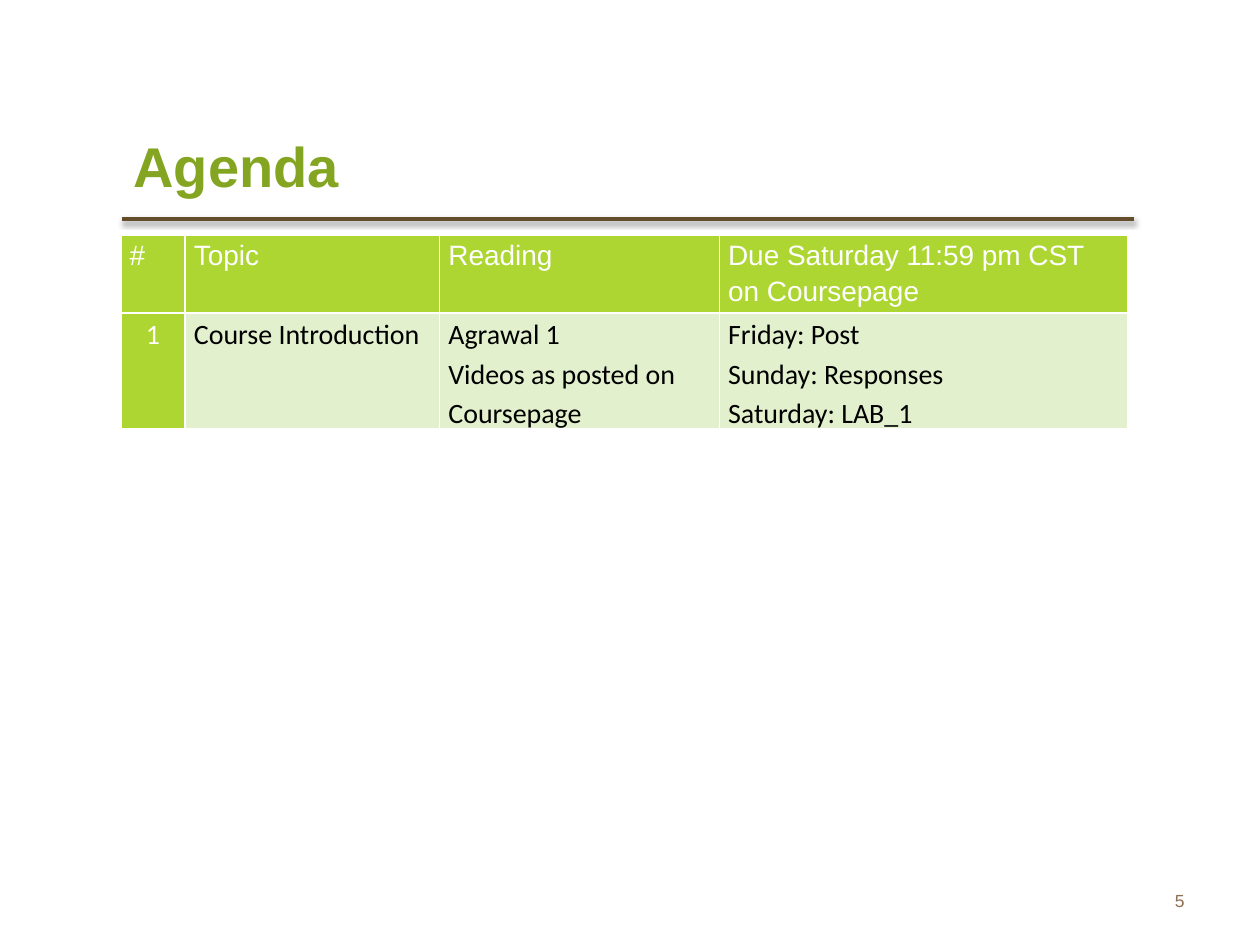
import pptx
import pptx.dml.color
import pptx.enum.shapes
import pptx.enum.text
import pptx.oxml
import pptx.oxml.ns
import pptx.util
from pptx.util import Inches

ALIGN = pptx.enum.text.PP_ALIGN
MIDDLE = pptx.enum.text.MSO_ANCHOR.MIDDLE
NAMESPACE = pptx.oxml.ns.nsdecls("a")

GREEN, PALE_GREEN, WHITE, BLACK = "ADD632", "E3F0CE", "FFFFFF", "000000"
COLUMN_WIDTHS = [0.51, 2.02, 2.22, 3.24]
TABLE_HEIGHT = 1.51
AGENDA = [
    [["#"], ["Topic"], ["Reading"], ["Due Saturday 11:59 pm CST on Coursepage"]],
    [
        ["1"],
        ["Course Introduction"],
        ["Agrawal 1", "Videos as posted on Coursepage"],
        ["Friday: Post", "Sunday: Responses", "Saturday: LAB_1"],
    ],
]


def color(hex_string):
    return pptx.dml.color.RGBColor.from_string(hex_string)


def set_attributes(target, values):
    for name, value in values.items():
        setattr(target, name, value)


def write_lines(text_frame, lines, font, size, hex_color, bold=False, **paragraph_format):
    """Write one paragraph per line, all in the same format."""
    for index, line in enumerate(lines):
        paragraph = text_frame.add_paragraph() if index else text_frame.paragraphs[0]
        set_attributes(paragraph, paragraph_format)
        run = paragraph.add_run()
        run.text = line
        set_attributes(run.font, {"name": font, "size": pptx.util.Pt(size), "bold": bold})
        run.font.color.rgb = color(hex_color)


def add_title(slide, text):
    title = slide.shapes.title
    set_attributes(title, {"left": Inches(0.96), "top": Inches(0.86),
                           "width": Inches(5.77), "height": Inches(0.9)})
    title.text_frame.vertical_anchor = MIDDLE
    write_lines(title.text_frame, [text], "Arial", 32, "84A521", True, alignment=ALIGN.LEFT)


def add_title_rule(slide):
    rule = slide.shapes.add_connector(
        pptx.enum.shapes.MSO_CONNECTOR.STRAIGHT,
        Inches(0.97), Inches(1.74), Inches(9), Inches(1.74))
    rule.line.color.rgb = color("634D2A")
    rule.line.width = pptx.util.Pt(2)
    rule._element.spPr.append(pptx.oxml.parse_xml(
        f'<a:effectLst {NAMESPACE}><a:outerShdw blurRad="{pptx.util.Pt(3.1)}" '
        f'dist="{pptx.util.Pt(1.6)}" dir="5400000" rotWithShape="0">'
        '<a:srgbClr val="000000"><a:alpha val="38000"/></a:srgbClr>'
        '</a:outerShdw></a:effectLst>'))


def add_page_number(slide, number):
    box = slide.shapes.add_textbox(Inches(7.17), Inches(6.95), Inches(2.33), Inches(0.4))
    set_attributes(box.text_frame, {"word_wrap": True, "vertical_anchor": MIDDLE})
    write_lines(box.text_frame, [number], "Arial", 10, "8F6F52", alignment=ALIGN.RIGHT)


def set_borders(cell, hex_color, points):
    properties = cell._tc.get_or_add_tcPr()
    for index, side in enumerate(("lnL", "lnR", "lnT", "lnB")):
        properties.insert(index, pptx.oxml.parse_xml(
            f'<a:{side} {NAMESPACE} w="{pptx.util.Pt(points)}"><a:solidFill>'
            f'<a:srgbClr val="{hex_color}"/></a:solidFill></a:{side}>'))


def fill_cell(cell, lines, is_header, is_number):
    set_attributes(cell, {"margin_left": Inches(0.07), "margin_right": Inches(0.07),
                          "margin_top": 0, "margin_bottom": 0})
    on_green = is_header or is_number
    cell.fill.solid()
    cell.fill.fore_color.rgb = color(GREEN if on_green else PALE_GREEN)
    set_borders(cell, WHITE, 1)
    write_lines(cell.text_frame, lines, "Arial" if is_header else "Calibri", 16,
                WHITE if on_green else BLACK, line_spacing=1.15,
                alignment=ALIGN.CENTER if is_number and not is_header else ALIGN.LEFT)


def add_agenda_table(slide):
    """Add the table with zero-height rows, which grow to fit their text."""
    frame = slide.shapes.add_table(
        len(AGENDA), len(COLUMN_WIDTHS), Inches(0.96), Inches(1.87),
        Inches(sum(COLUMN_WIDTHS)), Inches(TABLE_HEIGHT))
    table = frame.table
    for column, width in zip(table.columns, COLUMN_WIDTHS):
        column.width = Inches(width)
    for row in table.rows:
        row.height = 0
    frame.height = Inches(TABLE_HEIGHT)
    for row_index, row in enumerate(AGENDA):
        for column_index, lines in enumerate(row):
            fill_cell(table.cell(row_index, column_index), lines,
                      is_header=row_index == 0, is_number=column_index == 0)


def main():
    presentation = pptx.Presentation()
    set_attributes(presentation, {"slide_width": Inches(10), "slide_height": Inches(7.5)})
    slide = presentation.slides.add_slide(presentation.slide_layouts.get_by_name("Title Only"))
    add_title_rule(slide)
    add_page_number(slide, "5")
    add_title(slide, "Agenda")
    add_agenda_table(slide)
    presentation.save("out.pptx")


if __name__ == "__main__":
    main()
